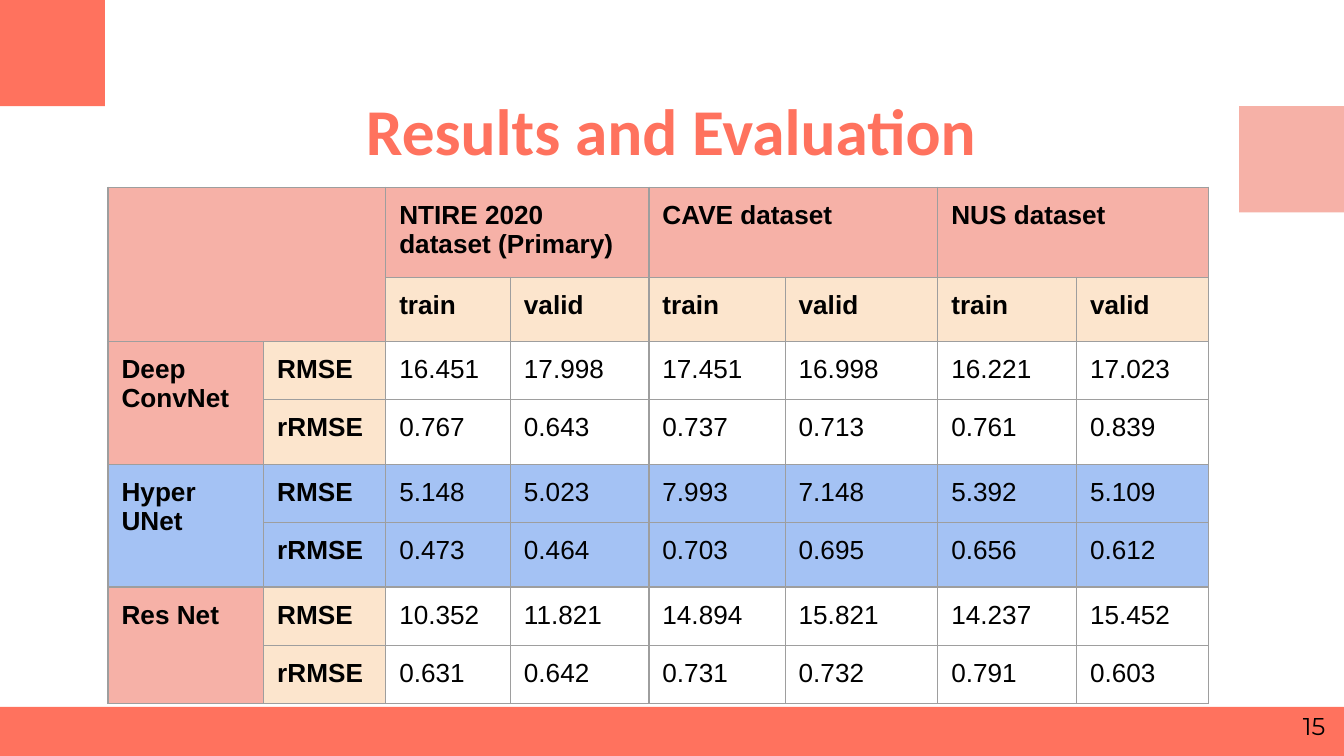
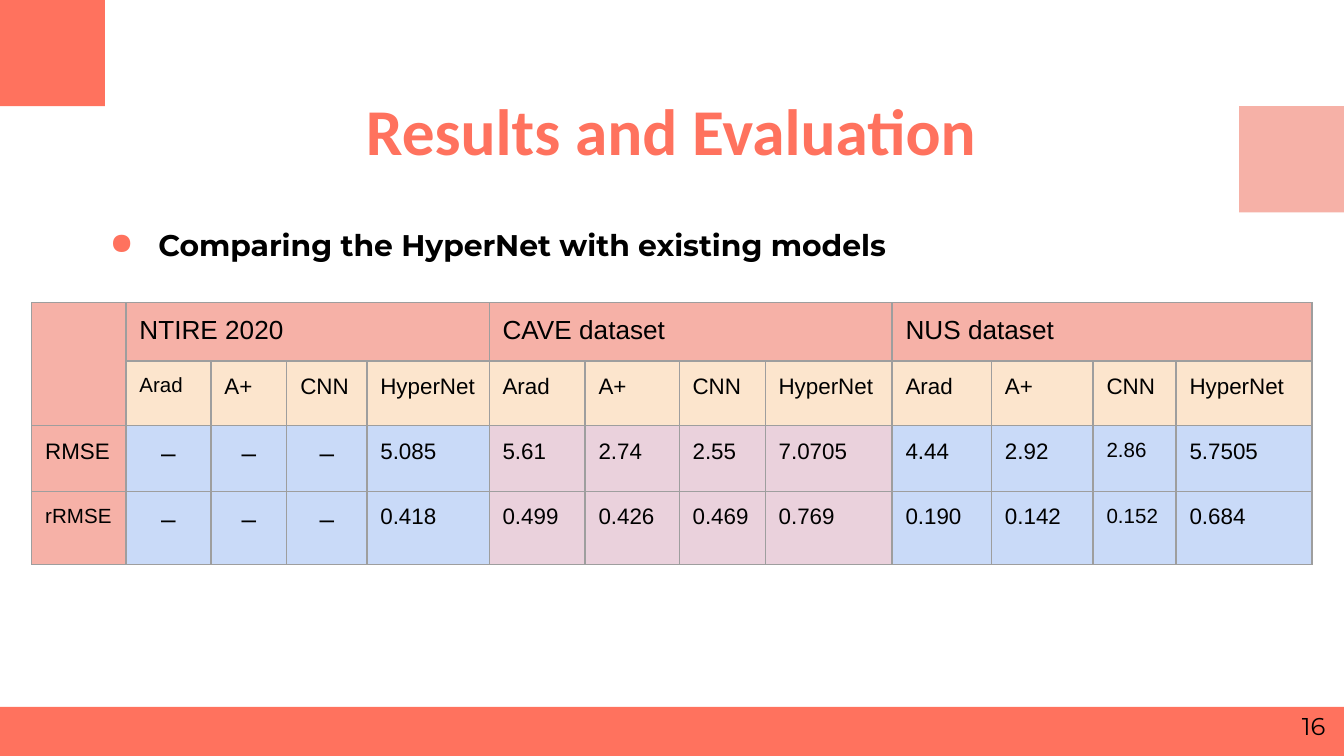
from dataclasses import dataclass
from typing import Callable, NamedTuple, Optional

from lxml.etree import SubElement
from pptx import Presentation
from pptx.dml.color import RGBColor
from pptx.enum.shapes import MSO_SHAPE
from pptx.enum.text import MSO_ANCHOR, PP_ALIGN
from pptx.oxml.ns import qn
from pptx.util import Pt

CORAL, PINK, CREAM = "FF725E", "F6B1A7", "FCE5CD"
BLUE, PALE_BLUE, MAUVE = "A4C2F4", "C9DAF8", "EAD1DC"
BLACK, GREY = "000000", "9E9E9E"
SLIDE_WIDTH, SLIDE_HEIGHT = 720, 405
INSET = 7.2
DASH = "–"


class Box(NamedTuple):
    left: float
    top: float
    width: float
    height: float


class Band(NamedTuple):
    box: Box
    fill: str


class Span(NamedTuple):
    row: int
    column: int
    last_row: int
    last_column: int


@dataclass(frozen=True)
class TextStyle:
    font: str = "Arial"
    size: float = 14
    color: str = BLACK
    bold: bool = False
    align: PP_ALIGN = PP_ALIGN.LEFT


@dataclass(frozen=True)
class TableLayout:
    left: float
    top: float
    column_widths: list[float]
    row_heights: list[float]
    rows: list[list[str]]
    spans: list[Span]
    fill_of: Callable[[int, int], Optional[str]]
    style_of: Callable[[int, int], TextStyle]


TITLE = TextStyle("Calibri", 35, CORAL, True, PP_ALIGN.CENTER)
PAGE_NUMBER = TextStyle("Montserrat", 13, align=PP_ALIGN.RIGHT)
BULLET = TextStyle("Montserrat", 16, bold=True)

BANDS = [
    Band(Box(0, 0, 56.2, 56.9), CORAL),
    Band(Box(0, 378.7, SLIDE_WIDTH, SLIDE_HEIGHT - 378.7), CORAL),
    Band(Box(663.8, 56.9, 56.2, 56.9), PINK),
]


def rgb(color: str) -> RGBColor:
    return RGBColor.from_string(color)


def write(paragraph, text: str, style: TextStyle) -> None:
    paragraph.alignment = style.align
    run = paragraph.add_run()
    run.text = text
    font_values = {"name": style.font, "size": Pt(style.size), "bold": style.bold}
    for name, value in font_values.items():
        setattr(run.font, name, value)
    run.font.color.rgb = rgb(style.color)


def set_insets(target) -> None:
    for side in ("left", "right", "top", "bottom"):
        setattr(target, f"margin_{side}", Pt(INSET))


def add_text(slide, box: Box, text: str, style: TextStyle, anchor=MSO_ANCHOR.TOP):
    frame = slide.shapes.add_textbox(*map(Pt, box)).text_frame
    frame.word_wrap = True
    frame.vertical_anchor = anchor
    set_insets(frame)
    write(frame.paragraphs[0], text, style)
    return frame.paragraphs[0]


def add_bullet(slide, box: Box, text: str) -> None:
    properties = add_text(slide, box, text, BULLET)._p.get_or_add_pPr()
    properties.set("marL", str(Pt(36)))
    properties.set("indent", str(-Pt(26)))
    color = SubElement(properties, qn("a:buClr"))
    SubElement(color, qn("a:srgbClr"), val=CORAL)
    SubElement(properties, qn("a:buChar"), char="●")


def add_borders(cell) -> None:
    properties = cell._tc.get_or_add_tcPr()
    for side in ("lnL", "lnR", "lnT", "lnB"):
        line = SubElement(properties, qn(f"a:{side}"), w=str(Pt(0.75)))
        fill = SubElement(line, qn("a:solidFill"))
        SubElement(fill, qn("a:srgbClr"), val=GREY)


def fill_cell(cell, color: Optional[str]) -> None:
    if color is None:
        cell.fill.background()
    else:
        cell.fill.solid()
        cell.fill.fore_color.rgb = rgb(color)


def add_results_table(slide, layout: TableLayout) -> None:
    size = (sum(layout.column_widths), sum(layout.row_heights))
    table = slide.shapes.add_table(
        len(layout.row_heights), len(layout.column_widths),
        *map(Pt, (layout.left, layout.top, *size)),
    ).table
    table.first_row = table.horz_banding = False
    for column, width in zip(table.columns, layout.column_widths):
        column.width = Pt(width)
    for row, height in zip(table.rows, layout.row_heights):
        row.height = Pt(height)
    for r, texts in enumerate(layout.rows):
        for c, text in enumerate(texts):
            cell = table.cell(r, c)
            add_borders(cell)
            fill_cell(cell, layout.fill_of(r, c))
            if text:
                set_insets(cell)
                write(cell.text_frame.paragraphs[0], text, layout.style_of(r, c))
    for span in layout.spans:
        table.cell(span.row, span.column).merge(
            table.cell(span.last_row, span.last_column))


def add_base_slide(presentation, number: int):
    """Add a slide with the shared bands, title and page number."""
    slide = presentation.slides.add_slide(presentation.slide_layouts[6])
    for band in BANDS:
        shape = slide.shapes.add_shape(MSO_SHAPE.RECTANGLE, *map(Pt, band.box))
        shape.shadow.inherit = False
        shape.fill.solid()
        shape.fill.fore_color.rgb = rgb(band.fill)
        shape.line.fill.background()
    add_text(slide, Box(46.8, 51.8, 625.7, 35.3), "Results and Evaluation",
             TITLE, MSO_ANCHOR.MIDDLE)
    add_text(slide, Box(673.9, 373.7, 43.2, 31), str(number), PAGE_NUMBER)
    return slide


def training_fill(row: int, column: int) -> Optional[str]:
    if row in (4, 5):
        return BLUE
    if row == 0 or column == 0 or (row == 1 and column == 1):
        return PINK
    return CREAM if row == 1 or column == 1 else None


def training_style(row: int, column: int) -> TextStyle:
    return TextStyle(bold=row < 2 or column < 2)


def comparison_fill(row: int, column: int) -> str:
    if row == 0 or column == 0:
        return PINK
    if row == 1:
        return CREAM
    return MAUVE if 5 <= column <= 8 else PALE_BLUE


def comparison_style(row: int, column: int) -> TextStyle:
    if row == 0:
        return TextStyle()
    if row > 1 and 1 <= column <= 3:
        return TextStyle(align=PP_ALIGN.CENTER)
    small = (row, column) in {(1, 1), (3, 0), (2, 11), (3, 11)}
    return TextStyle(size=11 if small else 12)


METHODS = ["Arad", "A+", "CNN", "HyperNet"]

TRAINING = TableLayout(
    left=57.9, top=100.3,
    column_widths=[83.4, 65.4, 66.8, 74.2, 73, 81.8, 74.3, 70.6],
    row_heights=[48.2, 34.4, 31.2, 34.6, 31.2, 34.6, 31.3, 31.3],
    rows=[
        ["", "", "NTIRE 2020 dataset (Primary)", "", "CAVE dataset", "",
         "NUS dataset", ""],
        ["", "", *["train", "valid"] * 3],
        ["Deep ConvNet", "RMSE", "16.451", "17.998", "17.451", "16.998",
         "16.221", "17.023"],
        ["", "rRMSE", "0.767", "0.643", "0.737", "0.713", "0.761", "0.839"],
        ["Hyper UNet", "RMSE", "5.148", "5.023", "7.993", "7.148", "5.392", "5.109"],
        ["", "rRMSE", "0.473", "0.464", "0.703", "0.695", "0.656", "0.612"],
        ["Res Net", "RMSE", "10.352", "11.821", "14.894", "15.821",
         "14.237", "15.452"],
        ["", "rRMSE", "0.631", "0.642", "0.731", "0.732", "0.791", "0.603"],
    ],
    spans=[Span(0, 0, 1, 1)]
    + [Span(0, column, 0, column + 1) for column in (2, 4, 6)]
    + [Span(row, 0, row + 1, 0) for row in (2, 4, 6)],
    fill_of=training_fill, style_of=training_style,
)

COMPARISON = TableLayout(
    left=17, top=162.1,
    column_widths=[50.5, 45.5, 40.7, 42.9, 65.5, 51.4, 50.4, 46.1, 68, 53.3,
                   54.4, 44.5, 72.8],
    row_heights=[31, 34.6, 35.2, 39.4],
    rows=[
        ["", "NTIRE 2020", "", "", "", "CAVE dataset", "", "", "",
         "NUS dataset", "", "", ""],
        ["", *METHODS * 3],
        ["RMSE", *[DASH] * 3, "5.085", "5.61", "2.74", "2.55", "7.0705",
         "4.44", "2.92", "2.86", "5.7505"],
        ["rRMSE", *[DASH] * 3, "0.418", "0.499", "0.426", "0.469", "0.769",
         "0.190", "0.142", "0.152", "0.684"],
    ],
    spans=[Span(0, 0, 1, 0)]
    + [Span(0, column, 0, column + 3) for column in (1, 5, 9)],
    fill_of=comparison_fill, style_of=comparison_style,
)


def main() -> None:
    presentation = Presentation()
    presentation.slide_width = Pt(SLIDE_WIDTH)
    presentation.slide_height = Pt(SLIDE_HEIGHT)
    add_results_table(add_base_slide(presentation, 15), TRAINING)
    comparison_slide = add_base_slide(presentation, 16)
    add_results_table(comparison_slide, COMPARISON)
    add_bullet(comparison_slide, Box(41.8, 114.5, 513.4, 33.8),
               "Comparing the HyperNet with existing models")
    presentation.save("out.pptx")


if __name__ == "__main__":
    main()
